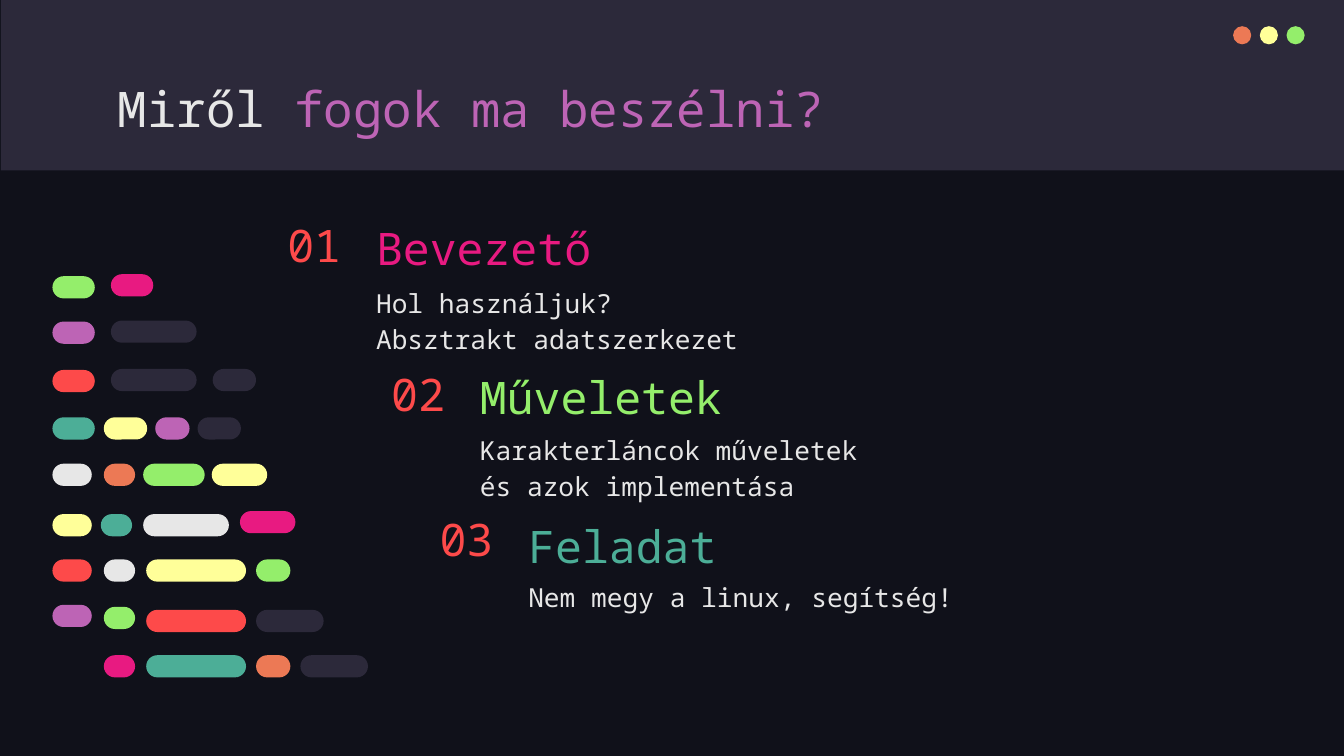
from pptx import Presentation
from pptx.dml.color import RGBColor
from pptx.enum import shapes, text
from pptx.util import Inches, Pt

FONT = "Noto Sans Mono"
NIGHT, SLATE, WHITE = "10111A", "2C293A", "E7E7E7"
ORANGE, YELLOW, GREEN = "EC7955", "FFFF99", "94EE6B"
PINK, PURPLE, RED, TEAL = "E81A81", "BD64B5", "FD4A4A", "4CAE97"

CODE_ROWS = [
    [(0, 0.02, 0.42, GREEN), (0.58, 0, 0.42, PINK)],
    [(0, 0.47, 0.42, PURPLE), (0.58, 0.46, 0.85, SLATE)],
    [(0, 0.95, 0.42, RED), (0.58, 0.94, 0.85, SLATE), (1.59, 0.94, 0.43, SLATE)],
    [(0, 1.42, 0.42, TEAL), (0.51, 1.42, 0.43, YELLOW),
     (1.02, 1.42, 0.34, PURPLE), (1.44, 1.42, 0.43, SLATE)],
    [(0, 1.88, 0.39, WHITE), (0.51, 1.88, 0.31, ORANGE),
     (0.9, 1.88, 0.61, GREEN), (1.58, 1.88, 0.55, YELLOW)],
    [(0, 2.38, 0.39, YELLOW), (0.48, 2.38, 0.31, TEAL),
     (0.9, 2.38, 0.85, WHITE), (1.86, 2.35, 0.55, PINK)],
    [(0, 2.83, 0.39, RED), (0.51, 2.83, 0.31, WHITE),
     (0.93, 2.83, 0.99, YELLOW), (2.02, 2.83, 0.34, GREEN)],
    [(0, 3.28, 0.39, PURPLE), (0.51, 3.3, 0.31, GREEN),
     (0.93, 3.33, 0.99, RED), (2.02, 3.33, 0.67, SLATE)],
    [(0.51, 3.78, 0.31, PINK), (0.93, 3.78, 0.99, TEAL),
     (2.02, 3.78, 0.34, ORANGE), (2.46, 3.78, 0.67, SLATE)],
]

TOPICS = [
    (3.6, "Bevezető", PINK, ["Hol használjuk?", "Absztrakt adatszerkezet"]),
    (4.63, "Műveletek", GREEN, ["Karakterláncok műveletek", "és azok implementása"]),
    (5.11, "Feladat", TEAL, ["Nem megy a linux, segítség!"]),
]


def paint(fill, color):
    """Make a fill solid in a hex colour."""
    fill.solid()
    fill.fore_color.rgb = RGBColor.from_string(color)


def add_block(parent, kind, left, top, width, height, color):
    """Add a plain filled shape without outline or shadow."""
    block = parent.add_shape(kind, Inches(left), Inches(top), Inches(width), Inches(height))
    block.shadow.inherit = False
    block.line.fill.background()
    paint(block.fill, color)
    return block


def add_words(slide, left, top, width, height, lines, size,
              anchor=text.MSO_ANCHOR.TOP, spacing=1.0):
    """Add a text box whose lines are lists of (words, colour) pairs."""
    frame = slide.shapes.add_textbox(
        Inches(left), Inches(top), Inches(width), Inches(height)).text_frame
    frame.word_wrap = True
    frame.vertical_anchor = anchor
    frame.margin_left = frame.margin_right = Inches(0.13)
    frame.margin_top = frame.margin_bottom = Inches(0.13)
    for index, line in enumerate(lines):
        paragraph = frame.add_paragraph() if index else frame.paragraphs[0]
        paragraph.line_spacing = spacing
        for words, color in line:
            run = paragraph.add_run()
            run.text = words
            run.font.name = FONT
            run.font.size = Pt(size)
            run.font.color.rgb = RGBColor.from_string(color)


def add_header(slide, left, top, width, height):
    """Draw the title band with its window buttons."""
    add_block(slide.shapes, shapes.MSO_SHAPE.RECTANGLE, left, top, width, height, SLATE)
    buttons = slide.shapes.add_group_shape().shapes
    for index, color in enumerate([ORANGE, YELLOW, GREEN]):
        add_block(buttons, shapes.MSO_SHAPE.OVAL, left + width - 1.11 + index * 0.265,
                  top + 0.26, 0.18, 0.18, color)
    add_words(slide, left + 1.03, top + 0.65, 11.24, 0.84,
              [[("Miről", WHITE), (" fogok ma beszélni?", PURPLE)]], 35)


def add_code_pattern(slide, left, top):
    """Draw the rows of coloured pills that suggest lines of code."""
    pills = slide.shapes.add_group_shape().shapes
    for row in CODE_ROWS:
        for x, y, width, color in row:
            pill = add_block(pills, shapes.MSO_SHAPE.ROUNDED_RECTANGLE,
                             left + x, top + y, width, 0.22, color)
            pill.adjustments[0] = 0.5


def add_topic(slide, left, top, number, heading, color, details):
    """Write one numbered topic with its heading and details."""
    number_height = 0.48 if number == len(TOPICS) else 0.57
    add_words(slide, left - 0.88, top, 0.88, number_height,
              [[(f"{number:02d}", RED)]], 32, text.MSO_ANCHOR.MIDDLE)
    add_words(slide, left, top, 6.14, 0.71, [[(heading, color)]], 32,
              text.MSO_ANCHOR.BOTTOM, 1.15)
    add_words(slide, left, top + 0.55 - 0.02 * number, 6.14, 0.84,
              [[(detail, WHITE)] for detail in details], 18.7, spacing=1.15)


def main():
    """Build the agenda slide and save it."""
    deck = Presentation()
    deck.slide_width, deck.slide_height = Inches(13.33), Inches(7.5)
    slide = deck.slides.add_slide(deck.slide_layouts[6])
    paint(slide.background.fill, NIGHT)
    add_header(slide, 0.01, 0, 13.33, 1.69)
    for index, (left, heading, color, details) in enumerate(TOPICS):
        add_topic(slide, left, 2.14 + index * 1.48, index + 1, heading, color, details)
    add_code_pattern(slide, 0.52, 2.72)
    deck.save("out.pptx")


if __name__ == "__main__":
    main()
